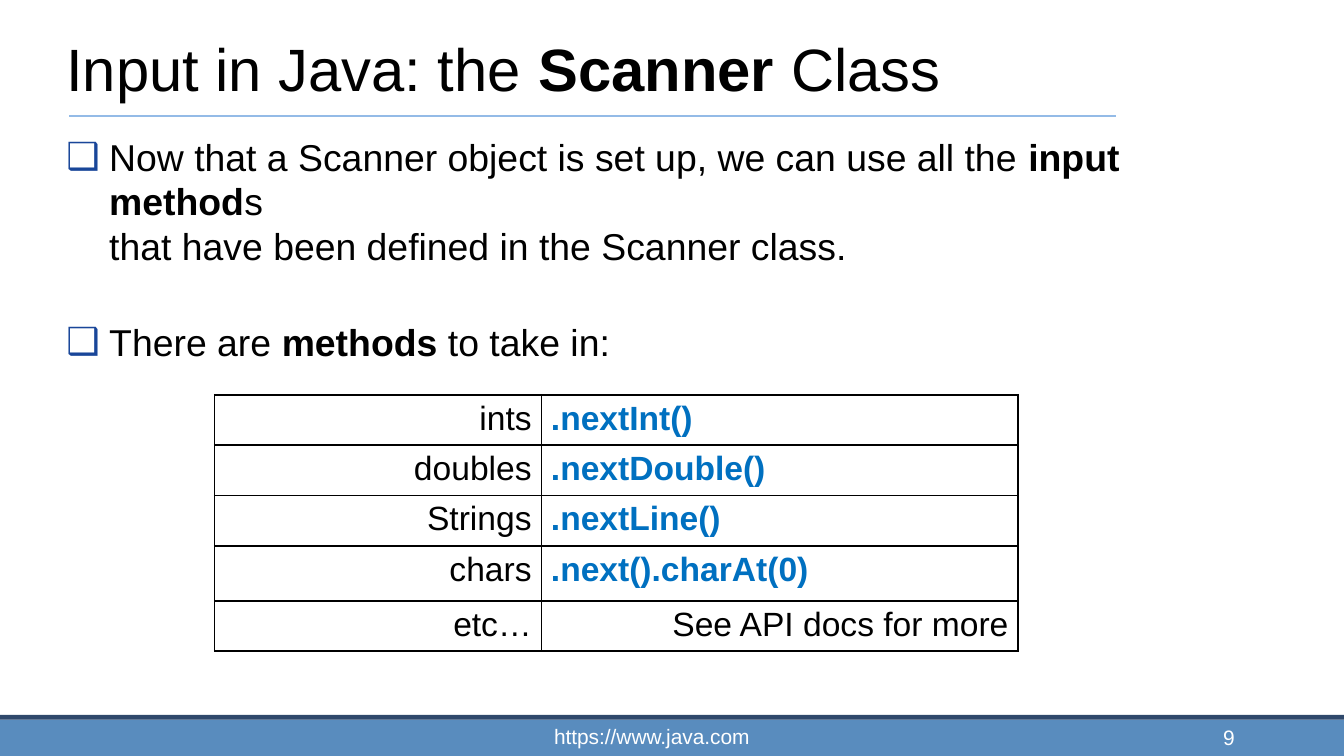
from dataclasses import dataclass

import pptx
import pptx.dml.color
import pptx.enum.shapes
import pptx.enum.text
import pptx.oxml
import pptx.oxml.ns
import pptx.util

Pt = pptx.util.Pt
ALIGN = pptx.enum.text.PP_ALIGN
ANCHOR = pptx.enum.text.MSO_ANCHOR


@dataclass(frozen=True)
class Theme:
    """Colours, font and type sizes of the slide."""
    font: str = "Arial"
    ink: str = "000000"
    paper: str = "FFFFFF"
    method: str = "0070C0"
    bullet: str = "194699"
    rule: str = "94BBE7"
    band: str = "598CBE"
    band_edge: str = "2F486B"
    title_size: float = 32
    body_size: float = 20
    table_size: float = 18
    footer_size: float = 11.2


THEME = Theme()


def rgb(code):
    """Turn a hex code into a colour."""
    return pptx.dml.color.RGBColor.from_string(code)


def place(part, box):
    """Set position and size of a part from a box in points."""
    part.left, part.top, part.width, part.height = map(Pt, box)


def add_runs(paragraph, runs, size, color=THEME.ink):
    """Add (text, bold) runs, with None standing for a line break."""
    for run_spec in runs:
        if run_spec is None:
            paragraph.add_line_break()
            continue
        run = paragraph.add_run()
        run.text, run.font.bold = run_spec
        run.font.name = THEME.font
        run.font.size = Pt(size)
        run.font.color.rgb = rgb(color)


def set_frame(frame, anchor, inset_x=4.5, inset_y=4.5):
    """Set wrapping, anchor and insets of a text frame."""
    frame.word_wrap = True
    frame.auto_size = pptx.enum.text.MSO_AUTO_SIZE.NONE
    frame.vertical_anchor = anchor
    frame.margin_left = frame.margin_right = Pt(inset_x)
    frame.margin_top = frame.margin_bottom = Pt(inset_y)


def add_bullet(paragraph, indent):
    """Give a paragraph a hanging box bullet."""
    properties = paragraph._p.get_or_add_pPr()
    properties.set("marL", str(Pt(indent)))
    properties.set("indent", str(-Pt(indent)))
    namespace = pptx.oxml.ns.nsdecls("a")
    for markup in (
        f'<a:buClr {namespace}><a:srgbClr val="{THEME.bullet}"/></a:buClr>',
        f'<a:buFont {namespace} typeface="{THEME.font}"/>',
        f'<a:buChar {namespace} char="❑"/>',
    ):
        properties.append(pptx.oxml.parse_xml(markup))


def build_title(slide, box, runs):
    """Fill the title and draw the rule below it."""
    title = slide.shapes.title
    place(title, box)
    set_frame(title.text_frame, ANCHOR.BOTTOM)
    paragraph = title.text_frame.paragraphs[0]
    paragraph.alignment = ALIGN.LEFT
    add_runs(paragraph, runs, THEME.title_size)
    left, top, width, height = box
    rule_y = top + height + 2
    rule = slide.shapes.add_connector(
        pptx.enum.shapes.MSO_CONNECTOR.STRAIGHT,
        Pt(left + 6), Pt(rule_y), Pt(left + width - 45), Pt(rule_y))
    rule.line.color.rgb = rgb(THEME.rule)
    rule.line.width = Pt(1)
    rule._element.spPr.append(pptx.oxml.parse_xml(
        f'<a:effectLst {pptx.oxml.ns.nsdecls("a")}/>'))


def build_body(slide, box, items):
    """Fill the body with bulleted items."""
    body = slide.placeholders[1]
    place(body, box)
    frame = body.text_frame
    set_frame(frame, ANCHOR.TOP)
    for index, runs in enumerate(items):
        paragraph = frame.add_paragraph() if index else frame.paragraphs[0]
        add_bullet(paragraph, 23)
        paragraph.alignment = ALIGN.LEFT
        paragraph.line_spacing = Pt(23.8)
        paragraph.space_before = Pt(28 if index else 0)
        add_runs(paragraph, runs, THEME.body_size)


def add_borders(cell):
    """Draw a thin line on all four sides of a cell."""
    properties = cell._tc.get_or_add_tcPr()
    for index, side in enumerate(("lnL", "lnR", "lnT", "lnB")):
        properties.insert(index, pptx.oxml.parse_xml(
            f'<a:{side} {pptx.oxml.ns.nsdecls("a")} w="{Pt(1)}"><a:solidFill>'
            f'<a:srgbClr val="{THEME.ink}"/></a:solidFill></a:{side}>'))


def build_methods_table(slide, box, rows, column_widths, row_heights):
    """Build the table of input types and their methods."""
    methods = slide.shapes.add_table(
        len(rows), len(column_widths), *map(Pt, box)).table
    methods.first_row = methods.horz_banding = False
    for column, width in zip(methods.columns, column_widths):
        column.width = Pt(width)
    for row, height, texts in zip(methods.rows, row_heights, rows):
        row.height = Pt(height)
        for index, (cell, text) in enumerate(zip(row.cells, texts)):
            is_method = index == 1 and text.startswith(".")
            cell.fill.background()
            add_borders(cell)
            cell.margin_left = cell.margin_right = Pt(5.2)
            cell.margin_top = cell.margin_bottom = Pt(2.6)
            paragraph = cell.text_frame.paragraphs[0]
            paragraph.alignment = ALIGN.LEFT if is_method else ALIGN.RIGHT
            add_runs(paragraph, [(text, is_method)], THEME.table_size,
                     THEME.method if is_method else THEME.ink)


def build_footer(slide, box, address, number):
    """Draw the footer band with the address and page number."""
    left, top, width, height = box
    edge = 2.6
    for band_top, band_height, color in (
        (top + edge, height - edge, THEME.band),
        (top, edge, THEME.band_edge),
    ):
        band = slide.shapes.add_shape(
            pptx.enum.shapes.MSO_SHAPE.RECTANGLE,
            Pt(left), Pt(band_top), Pt(width), Pt(band_height))
        band.shadow.inherit = False
        band.fill.solid()
        band.fill.fore_color.rgb = rgb(color)
        band.line.fill.background()
    for text, label_box, alignment, insets in (
        (number, (left + 516, top + 0.5, 150, 22.5), ALIGN.RIGHT, (4.5, 4.5)),
        (address, (left + 253.5, top + 2, 191.5, 19), ALIGN.CENTER, (5.8, 2.9)),
    ):
        label = slide.shapes.add_textbox(*map(Pt, label_box))
        set_frame(label.text_frame, ANCHOR.BOTTOM, *insets)
        paragraph = label.text_frame.paragraphs[0]
        paragraph.alignment = alignment
        add_runs(paragraph, [(text, False)], THEME.footer_size, THEME.paper)


def main():
    """Build the slide and save it."""
    deck = pptx.Presentation()
    deck.slide_width, deck.slide_height = Pt(720), Pt(405)
    slide = deck.slides.add_slide(deck.slide_layouts[1])
    build_footer(slide, (0, 383, 720, 22), "https://www.java.com", "9")
    build_title(slide, (31, 0, 612, 60), [
        ("Input in Java: the ", False), ("Scanner ", True), ("Class", False)])
    build_body(slide, (31, 67.5, 612, 337.5), [
        [("Now that a Scanner object is set up, we can use all the ", False),
         ("input method", True), ("s", False), None,
         ("that have been defined in the Scanner class.", False)],
        [("There are ", False), ("methods", True), (" to take in:", False)],
    ])
    build_methods_table(slide, (115, 211.5, 430.5, 137.5), [
        ("ints", ".nextInt()"),
        ("doubles", ".nextDouble()"),
        ("Strings", ".nextLine()"),
        ("chars", ".next().charAt(0)"),
        ("etc…", "See API docs for more"),
    ], (175, 255.5), (27, 27, 27, 29.5, 27))
    deck.save("out.pptx")


if __name__ == "__main__":
    main()
